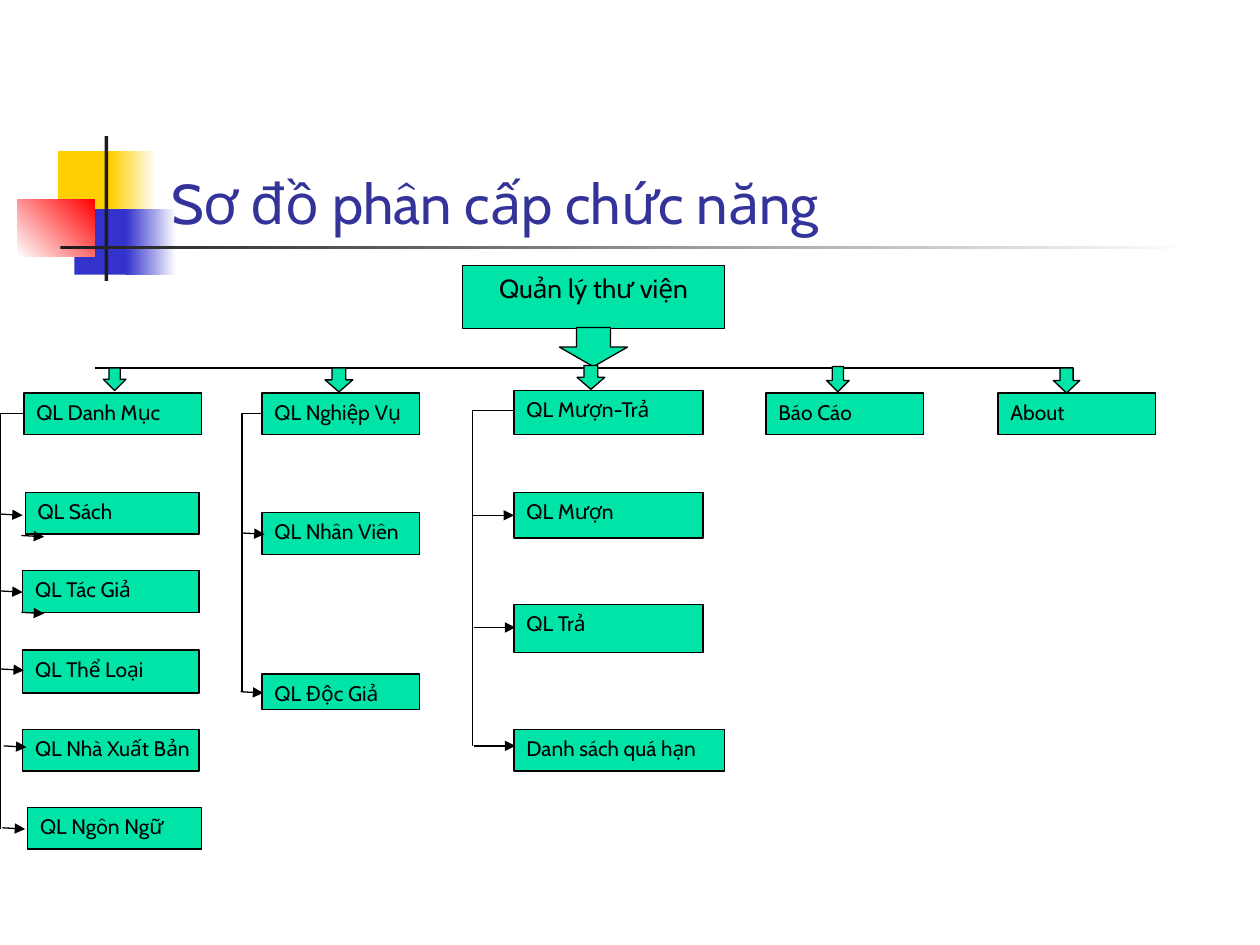
import pptx
import pptx.util
import pptx.dml.color
import pptx.enum.shapes
import pptx.enum.text
import pptx.oxml.ns
from lxml import etree

Inches = pptx.util.Inches
Pt = pptx.util.Pt
RGB = pptx.dml.color.RGBColor
Shape = pptx.enum.shapes.MSO_SHAPE
Anchor = pptx.enum.text.MSO_ANCHOR
Align = pptx.enum.text.PP_ALIGN

GOLD = RGB(0xFF, 0xCF, 0x01)
BLUE = RGB(0x33, 0x33, 0xCC)
RED = RGB(0xFF, 0x00, 0x00)
WHITE = RGB(0xFF, 0xFF, 0xFF)
DARK = RGB(0x1C, 0x1C, 0x1C)
NAVY = RGB(0x33, 0x33, 0x99)
GREEN = RGB(0x00, 0xE4, 0xA8)
BLACK = RGB(0x00, 0x00, 0x00)
FONT = "Cabin"
THIN = Pt(0.75)


def add_block(slide, kind, left, top, width, height, fill):
    block = slide.shapes.add_shape(
        kind, Inches(left), Inches(top), Inches(width), Inches(height))
    block.shadow.inherit = False
    block.fill.solid()
    block.fill.fore_color.rgb = fill
    block.line.fill.background()
    return block


def outline(shape):
    shape.line.color.rgb = BLACK
    shape.line.width = THIN


def set_text(frame, text, size, color, align=Align.LEFT):
    para = frame.paragraphs[0]
    para.text = text
    para.alignment = align
    para.font.name = FONT
    para.font.size = Pt(size)
    para.font.color.rgb = color


def add_node(slide, left, top, width, height, text, size=12, align=Align.LEFT):
    node = add_block(slide, Shape.RECTANGLE, left, top, width, height, GREEN)
    outline(node)
    node.text_frame.word_wrap = False
    node.text_frame.vertical_anchor = Anchor.TOP
    set_text(node.text_frame, text, size, BLACK, align)


def add_down(slide, left, top, width, height):
    outline(add_block(slide, Shape.DOWN_ARROW, left, top, width, height, GREEN))


def add_line(slide, left, top, width, drop=0, head=False):
    line = slide.shapes.add_connector(
        pptx.enum.shapes.MSO_CONNECTOR.STRAIGHT, Inches(left), Inches(top),
        Inches(left + width), Inches(top + drop))
    outline(line)
    if head:
        stroke = line.line._get_or_add_ln()
        etree.SubElement(stroke, pptx.oxml.ns.qn("a:tailEnd"), type="triangle")
    etree.SubElement(line._element.spPr, pptx.oxml.ns.qn("a:effectLst"))


def add_elbow(slide, left, top, width, drop):
    """Runs left by width from the start, then down by drop."""
    pen = slide.shapes.build_freeform(Inches(left), Inches(top))
    corner = Inches(left - width)
    pen.add_line_segments(
        [(corner, Inches(top)), (corner, Inches(top + drop))], close=False)
    elbow = pen.convert_to_shape()
    elbow.shadow.inherit = False
    elbow.fill.background()
    outline(elbow)


def add_emblem(slide, left, top):
    """Draws the coloured squares and rules beside the title."""
    # left, top, width, height, start colour, end colour, angle
    parts = [
        (0.32, 0.12, 0.48, 0.52, GOLD, None, 0),
        (0.74, 0.12, 0.36, 0.52, GOLD, WHITE, 0),
        (0.45, 0.58, 0.46, 0.52, BLUE, None, 0),
        (0.86, 0.58, 0.40, 0.52, BLUE, WHITE, 0),
        (0, 0.5, 0.61, 0.46, WHITE, RED, 45),
        (0.69, 0, 0.03, 1.15, DARK, None, 0),
        (0.34, 0.87, 9, 0.03, DARK, WHITE, 0),
    ]
    for x, y, width, height, start, end, angle in parts:
        part = add_block(slide, Shape.RECTANGLE, left + x, top + y,
                         width, height, start)
        if end is not None:
            part.fill.gradient()
            part.fill.gradient_angle = angle
            for stop, color in zip(part.fill.gradient_stops, (start, end)):
                stop.color.rgb = color


def add_title(slide, left, top, width, height):
    box = slide.shapes.add_textbox(
        Inches(left), Inches(top), Inches(width), Inches(height))
    box.text_frame.word_wrap = True
    box.text_frame.vertical_anchor = Anchor.BOTTOM
    set_text(box.text_frame, "Sơ đồ phân cấp chức năng", 32, NAVY)


def add_root(slide, left, top):
    """Draws the top node, its arrow, and the bar with one arrow per branch."""
    add_node(slide, left, top, 2.08, 0.5, "Quản lý thư viện", 15, Align.CENTER)
    add_line(slide, left - 2.92, top + 0.81, 7.75)
    add_down(slide, left + 0.77, top + 0.49, 0.54, 0.31)
    for x, y, width, height in [
            (-2.85, 0.81, 0.18, 0.18), (-1.09, 0.81, 0.22, 0.19),
            (0.91, 0.79, 0.22, 0.19), (2.89, 0.8, 0.18, 0.2),
            (4.69, 0.81, 0.21, 0.2)]:
        add_down(slide, left + x, top + y, width, height)


def add_branch(slide, left, top, width, height, label,
               kids=(), spine=None, heads=(), reach=0.18, drop=0.01):
    """Draws a branch node; kids, spine and heads are offsets from its corner."""
    add_node(slide, left, top, width, height, label)
    for x, y, wide, high, text in kids:
        add_node(slide, left + x, top + y, wide, high, text)
    if spine:
        add_elbow(slide, left, top + 0.16, *spine)
    for x, y in heads:
        add_line(slide, left + x, top + y, reach, drop, head=True)


def main():
    deck = pptx.Presentation()
    deck.slide_width = Inches(10)
    deck.slide_height = Inches(7.5)
    slide = deck.slides.add_slide(deck.slide_layouts[6])

    add_emblem(slide, 0.14, 1.08)
    add_title(slide, 1.26, 0.67, 8.52, 1.25)
    add_root(slide, 3.67, 2.11)
    add_branch(
        slide, 0.19, 3.12, 1.41, 0.33, "QL Danh Mục",
        kids=[(0.01, 0.79, 1.38, 0.33, "QL Sách"),
              (-0.01, 1.41, 1.4, 0.33, "QL Tác Giả"),
              (-0.01, 2.04, 1.4, 0.34, "QL Thể Loại"),
              (-0.01, 2.67, 1.4, 0.33, "QL Nhà Xuất Bản"),
              (0.03, 3.29, 1.38, 0.33, "QL Ngôn Ngữ")],
        spine=(0.19, 3.3),
        heads=[(-0.19, 0.96), (-0.19, 1.57), (-0.18, 2.19), (-0.16, 2.8),
               (-0.17, 3.45), (-0.02, 1.13), (-0.02, 1.74)])
    add_branch(
        slide, 2.08, 3.12, 1.25, 0.33, "QL Nghiệp Vụ",
        kids=[(0, 0.95, 1.25, 0.33, "QL Nhân Viên"),
              (0, 2.23, 1.25, 0.28, "QL Độc Giả")],
        spine=(0.16, 2.21),
        heads=[(-0.16, 1.11), (-0.17, 2.37)])
    add_branch(
        slide, 4.08, 3.1, 1.5, 0.35, "QL Mượn-Trả",
        kids=[(0, 0.81, 1.5, 0.36, "QL Mượn"),
              (0, 1.7, 1.5, 0.38, "QL Trả"),
              (0, 2.69, 1.67, 0.33, "Danh sách quá hạn")],
        spine=(0.33, 2.66),
        heads=[(-0.33, 0.99), (-0.32, 1.88), (-0.32, 2.82)],
        reach=0.33, drop=0)
    add_branch(slide, 6.08, 3.12, 1.25, 0.33, "Báo Cáo")
    add_branch(slide, 7.92, 3.12, 1.25, 0.33, "About")

    deck.save("out.pptx")


if __name__ == "__main__":
    main()
